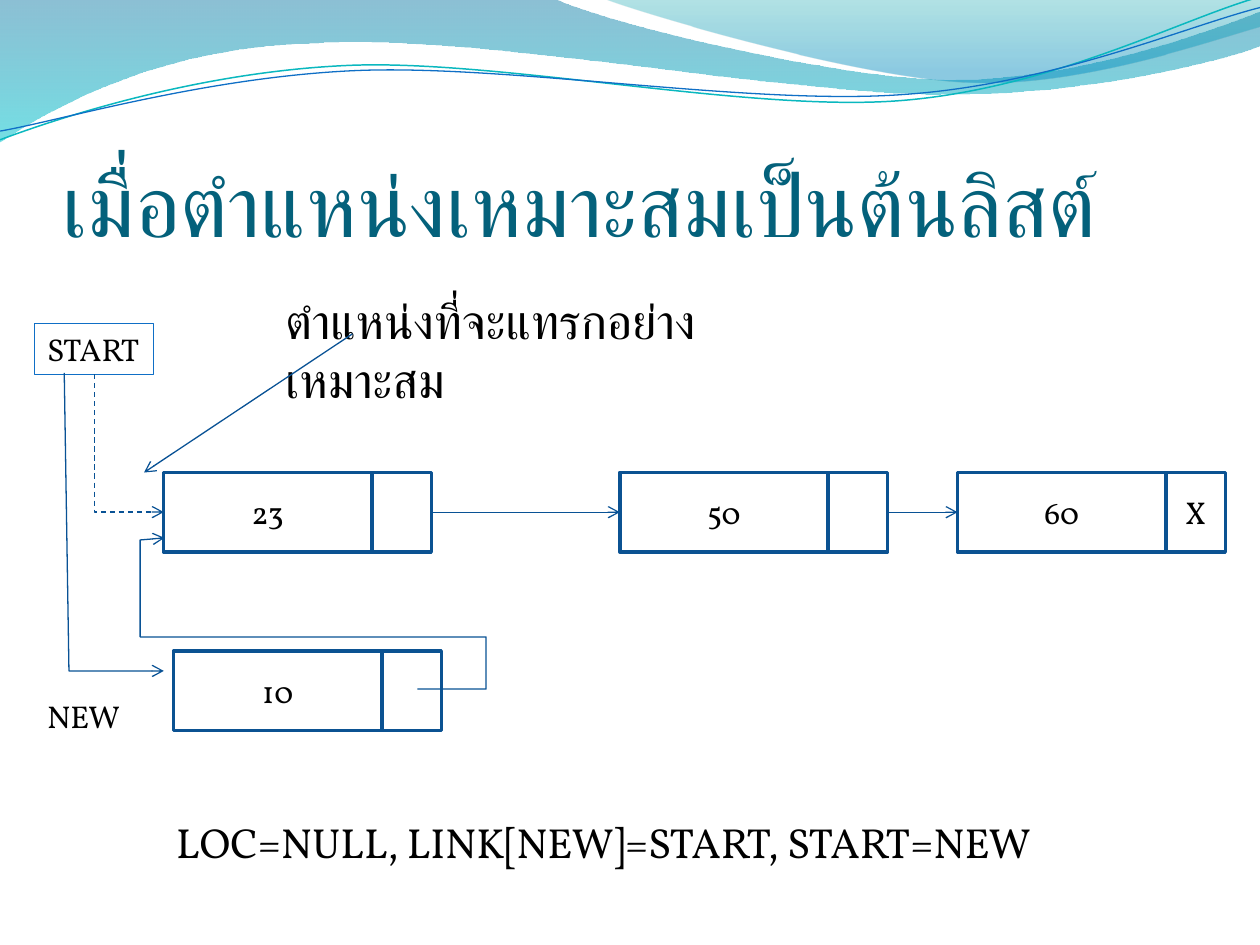
from pptx import Presentation
from pptx import util as u
from pptx.dml.color import RGBColor
from pptx.enum import dml, shapes, text
from pptx.oxml import ns
from lxml import etree

Pt = u.Pt
COLORS = {
    "title": "04617B", "ink": "000000", "paper": "FFFFFF",
    "node": "0B5292", "link": "095295", "start": "0F6FC6", "teal": "0AB8BF",
}

prs = Presentation()
prs.slide_width, prs.slide_height = Pt(720), Pt(540)
slide = prs.slides.add_slide(prs.slide_layouts[6])


def outline(points):
    """Freeform through points; a 6-tuple is a cubic curve: two controls and an end."""
    dots = [(Pt(p[i]), Pt(p[i + 1])) for p in points for i in range(0, len(p), 2)]
    builder = slide.shapes.build_freeform(*dots[0], scale=1.0)
    builder.add_line_segments(dots[1:], close=points[0] == points[-1])
    shape = builder.convert_to_shape()
    shape.shadow.inherit = False
    shape.fill.background()
    # Merge the three line segments of each curve into one Bezier segment
    segments = iter(list(shape._element.iter(ns.qn("a:lnTo"))))
    for point in points[1:]:
        segment = next(segments)
        if len(point) == 6:
            segment.tag = ns.qn("a:cubicBezTo")
            for _ in range(2):
                extra = next(segments)
                segment.append(extra[0])
                extra.getparent().remove(extra)
    return shape


def write(shape, words, size, font="Vollkorn", color="ink", **frame_format):
    frame = shape.text_frame
    for name, value in frame_format.items():
        setattr(frame, name, value)
    run = frame.paragraphs[0].add_run()
    run.text = words
    for name, value in {"name": font, "size": Pt(size)}.items():
        setattr(run.font, name, value)
    run.font.color.rgb = RGBColor.from_string(COLORS[color])
    return frame.paragraphs[0]


# Waves across the top: outline, then (position, colour, opacity) per stop
waves = [
    ([(0, 0), (316.8, -0.7), (342.7, 12.2, 478.1, 45.4, 545.8, 45.4),
      (614.2, 45.4, 689.8, 18.7, 720, 6.5), (720.7, 25.9),
      (707.8, 31.7, 626.4, 54.7, 537.1, 54), (447.8, 54, 275, 20.2, 185, 24.5),
      (92.9, 25.9, 33.1, 59.8, -0.7, 81.4), (0, 0)],
     [(0, "0074A1", 45), (1, "00C6CF", 55)]),
    ([(344.9, -0.7), (366.5, 7.9, 491, 44.6, 553.7, 46.8),
      (616.3, 49.7, 691.9, 23, 720, 15.1), (720, 0), (344.9, -0.7)],
     [(0, "00A1A9", 30), (0.8, "008BBF", 45)]),
]
for points, stops in waves:
    wave = outline(points)
    wave.line.fill.background()
    wave.fill.gradient()
    wave.fill.gradient_angle = 270
    for stop, (position, color, opacity) in zip(wave.fill.gradient_stops, stops):
        stop.position = position
        stop.color.rgb = RGBColor.from_string(color)
    for tint, stop in zip(wave._element.iter(ns.qn("a:srgbClr")), stops):
        etree.SubElement(tint, ns.qn("a:alpha"), val=str(stop[2] * 1000))

ripples = [
    ("teal", 0.85, [(0, 79.9), (34.6, 67, 113.8, 41, 199.4, 37.4),
                    (284.4, 33.8, 427, 64.1, 513.4, 57.6), (599.8, 51.1, 675.4, 10.8, 718.6, -1.4)]),
    ("start", 0.75, [(0, 74.9), (33.8, 69.1, 118.1, 43.9, 203.8, 40.3),
                     (290.2, 36.7, 429.8, 60.5, 516.2, 54), (601.9, 48.2, 677.5, 15.1, 720, 4.3)]),
]
for color, width, points in ripples:
    ripple = outline(points)
    ripple.line.color.rgb = RGBColor.from_string(COLORS[color])
    ripple.line.width = Pt(width)

# Title
title = slide.shapes.add_textbox(Pt(36), Pt(55.6), Pt(648), Pt(90))
write(title, "เมื่อตำแหน่งเหมาะสมเป็นต้นลิสต์", 50, "Calibri", "title", word_wrap=True,
      vertical_anchor=text.MSO_ANCHOR.BOTTOM, margin_left=0, margin_right=0, margin_bottom=0)

# START pointer
start = slide.shapes.add_shape(shapes.MSO_SHAPE.RECTANGLE, Pt(19.8), Pt(185), Pt(68), Pt(29))
start.shadow.inherit = False
start.fill.background()
start.line.color.rgb = RGBColor.from_string(COLORS["start"])
start.line.width = Pt(0.75)
write(start, "START", 18, word_wrap=False,
      vertical_anchor=text.MSO_ANCHOR.TOP).alignment = text.PP_ALIGN.LEFT

# List nodes: a value cell and a link cell
VALUE_W, LINK_W, NODE_H, ROW_Y = 119, 34, 45.4, 270
nodes = [(93.5, ROW_Y, "23", ""), (354.2, ROW_Y, "50", ""),
         (547.2, ROW_Y, "60", "X"), (99.2, 372, "10", "")]
for x, y, value, link in nodes:
    for left, width, words in ((x, VALUE_W, value), (x + VALUE_W, LINK_W, link)):
        cell = slide.shapes.add_shape(
            shapes.MSO_SHAPE.RECTANGLE, Pt(left), Pt(y), Pt(width), Pt(NODE_H))
        cell.shadow.inherit = False
        cell.fill.solid()
        cell.fill.fore_color.rgb = RGBColor.from_string(COLORS["paper"])
        cell.line.color.rgb = RGBColor.from_string(COLORS["node"])
        cell.line.width = Pt(2)
        if words:
            write(cell, words, 18, vertical_anchor=text.MSO_ANCHOR.MIDDLE,
                  ).alignment = text.PP_ALIGN.CENTER

# Labels
labels = [
    ("NEW", 18, 19.8, 394.6, 57, 29, False),
    ("ตำแหน่งที่จะแทรกอย่างเหมาะสม", 28, 156, 162.4, 274.3, 41, True),
    ("LOC=NULL, LINK[NEW]=START, START=NEW", 24, 93.6, 463, 517, 36, False),
]
for words, size, x, y, width, height, wrap in labels:
    label = slide.shapes.add_textbox(Pt(x), Pt(y), Pt(width), Pt(height))
    write(label, words, size, word_wrap=wrap)

# Arrows: straight and one-corner ones are connectors, longer ones open outlines
MID_Y = 292.7
STRAIGHT, ELBOW = shapes.MSO_CONNECTOR.STRAIGHT, shapes.MSO_CONNECTOR.ELBOW
links = [
    (STRAIGHT, 246.8, MID_Y, 354.2, MID_Y),
    (STRAIGHT, 507.4, MID_Y, 547.2, MID_Y),
    (STRAIGHT, 201.4, 190.8, 82.3, 270),
    (ELBOW, 113.1, 233.4, 34.3, 273.1),
]
detours = [
    [(36.7, 213.1), (39.4, 383.4), (93.6, 383.4)],
    [(238.6, 393.8), (277.8, 393.8), (277.8, 364), (80.1, 364), (80.1, 308.6), (94, 307.4)],
]
arrows = [outline(points) for points in detours]
for kind, *ends in links:
    arrow = slide.shapes.add_connector(kind, *(Pt(n) for n in ends))
    etree.SubElement(arrow._element.spPr, ns.qn("a:effectLst"))
    if kind == ELBOW:  # dashed former START link: down, then right
        arrow._element.spPr.find(ns.qn("a:prstGeom")).set("prst", "bentConnector2")
        arrow._element.spPr.find(ns.qn("a:xfrm")).set("rot", str(270 * 60000))
        arrow.line.dash_style = dml.MSO_LINE.DASH
    arrows.append(arrow)
for arrow in arrows:
    arrow.line.color.rgb = RGBColor.from_string(COLORS["link"])
    arrow.line.width = Pt(0.75)
    etree.SubElement(arrow.line._get_or_add_ln(), ns.qn("a:tailEnd"), type="arrow")

prs.save("out.pptx")
